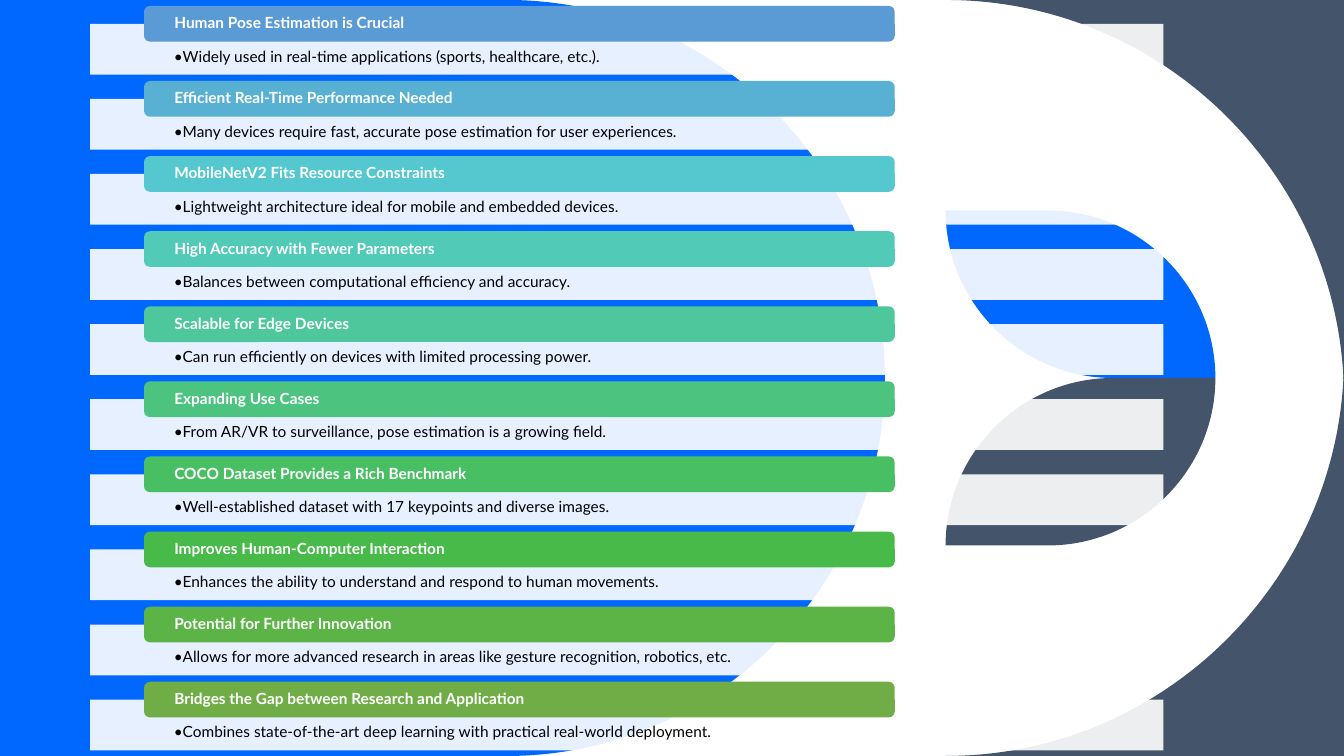
from lxml import etree
from pptx import Presentation
from pptx.dml.color import RGBColor
from pptx.enum.shapes import MSO_SHAPE
from pptx.enum.text import MSO_ANCHOR, PP_ALIGN
from pptx.oxml.ns import qn
from pptx.util import Cm, Pt

RECT, ROUNDED = MSO_SHAPE.RECTANGLE, MSO_SHAPE.ROUNDED_RECTANGLE
TOP, MIDDLE, LEFT = MSO_ANCHOR.TOP, MSO_ANCHOR.MIDDLE, PP_ALIGN.LEFT

BLUE = RGBColor(0x00, 0x68, 0xFF)
SLATE = RGBColor(0x44, 0x54, 0x6A)
WHITE = RGBColor(0xFF, 0xFF, 0xFF)
BLACK = RGBColor(0x00, 0x00, 0x00)
FONT = "Lato"

# Content: heading, detail, heading colour
REASONS = [
    ("Human Pose Estimation is Crucial",
     "Widely used in real-time applications (sports, healthcare, etc.).",
     RGBColor(0x5B, 0x9B, 0xD5)),
    ("Efficient Real-Time Performance Needed",
     "Many devices require fast, accurate pose estimation for user experiences.",
     RGBColor(0x58, 0xB1, 0xD2)),
    ("MobileNetV2 Fits Resource Constraints",
     "Lightweight architecture ideal for mobile and embedded devices.",
     RGBColor(0x55, 0xC7, 0xCE)),
    ("High Accuracy with Fewer Parameters",
     "Balances between computational efficiency and accuracy.",
     RGBColor(0x52, 0xCA, 0xB8)),
    ("Scalable for Edge Devices",
     "Can run efficiently on devices with limited processing power.",
     RGBColor(0x4F, 0xC7, 0x9C)),
    ("Expanding Use Cases",
     "From AR/VR to surveillance, pose estimation is a growing field.",
     RGBColor(0x4C, 0xC3, 0x7F)),
    ("COCO Dataset Provides a Rich Benchmark",
     "Well-established dataset with 17 keypoints and diverse images.",
     RGBColor(0x49, 0xBF, 0x64)),
    ("Improves Human-Computer Interaction",
     "Enhances the ability to understand and respond to human movements.",
     RGBColor(0x47, 0xBA, 0x49)),
    ("Potential for Further Innovation",
     "Allows for more advanced research in areas like gesture recognition, robotics, etc.",
     RGBColor(0x5C, 0xB4, 0x47)),
    ("Bridges the Gap between Research and Application",
     "Combines state-of-the-art deep learning with practical real-world deployment.",
     RGBColor(0x70, 0xAD, 0x47)),
]

# Layout in centimetres
WIDTH, HEIGHT = 33.87, 19.05
MID = HEIGHT / 2
BAR_LEFT, BAR_TOP, BAR_WIDTH, BAR_HEIGHT = 2.27, 0.6, 27.05, 1.28
HEAD_LEFT, HEAD_TOP, HEAD_WIDTH, HEAD_HEIGHT = 3.63, 0.15, 18.92, 0.9
LAST_BAR_TOP = 17.63
ROW_PITCH = (LAST_BAR_TOP - BAR_TOP) / (len(REASONS) - 1)
PANEL_RIGHT = 22.3
LEAF_LEFT, LEAF_RIGHT, LEAF_RADIUS = 23.83, 30.63, 4.22
CORNER_RADIUS = 10.03
BULLET_INDENT = 0.15
ROUNDNESS = 0.55  # control point distance of a quarter circle


def mirror(points):
    return [(x, HEIGHT - y, *bend) for x, y, *bend in points]


def paint(shape, color, opacity=100):
    shape.shadow.inherit = False
    shape.line.fill.background()
    shape.fill.solid()
    shape.fill.fore_color.rgb = color
    if opacity < 100:
        tint = shape.fill._xPr.find(qn("a:solidFill"))[0]
        etree.SubElement(tint, qn("a:alpha"), val=str(opacity * 1000))


def add_outline(page, points, color):
    """Points are (x, y), or (x, y, "h"/"v") for a quarter circle to that
    point which sets off horizontally or vertically."""
    spots = [(Cm(x), Cm(y)) for x, y, *_ in points]
    builder = page.shapes.build_freeform(*spots[0])
    builder.add_line_segments(spots[1:], close=True)
    shape = builder.convert_to_shape()
    paint(shape, color)
    segments = list(shape._element.iter(qn("a:lnTo")))
    for i, segment in enumerate(segments, start=1):
        if i >= len(points) or len(points[i]) == 2:
            continue
        (x0, y0), (x1, y1) = spots[i - 1], spots[i]
        dx, dy = (x1 - x0) * ROUNDNESS, (y1 - y0) * ROUNDNESS
        if points[i][2] == "h":
            controls = [(x0 + dx, y0), (x1, y1 - dy)]
        else:
            controls = [(x0, y0 + dy), (x1 - dx, y1)]
        segment.tag = qn("a:cubicBezTo")
        for position, (x, y) in enumerate(controls):
            segment.insert(position, etree.Element(
                qn("a:pt"), x=str(round(x - shape.left)), y=str(round(y - shape.top))))


def add_box(page, kind, left, top, width, height, color, opacity=100):
    box = page.shapes.add_shape(kind, Cm(left), Cm(top), Cm(width), Cm(height))
    paint(box, color, opacity)
    return box


def write(box, text, *, color, bold=False, anchor=MIDDLE, side=0.0, above=0.0,
          below=0.0, bullet=False):
    frame = box.text_frame
    frame.word_wrap = True
    frame.vertical_anchor = anchor
    frame.margin_left = frame.margin_right = Cm(side)
    frame.margin_top, frame.margin_bottom = Cm(above), Cm(below)
    para = frame.paragraphs[0]
    para.alignment = LEFT
    para.line_spacing = 0.9
    if bullet:
        para.level = 1
        props = para._p.get_or_add_pPr()
        props.set("marL", str(Cm(BULLET_INDENT)))
        props.set("indent", str(-Cm(BULLET_INDENT)))
        etree.SubElement(props, qn("a:buFont"), typeface=FONT)
        etree.SubElement(props, qn("a:buChar"), char="•")
    span = para.add_run()
    span.text = text
    span.font.name, span.font.size = FONT, Pt(11)
    span.font.bold, span.font.color.rgb = bold, color


def add_background(page):
    leaf_top = MID - LEAF_RADIUS
    panel = [(0, 0), (PANEL_RIGHT - MID, 0), (PANEL_RIGHT, MID, "h"),
             (PANEL_RIGHT - MID, HEIGHT, "v"), (0, HEIGHT)]
    leaf = [(LEAF_LEFT, leaf_top), (LEAF_RIGHT - LEAF_RADIUS, leaf_top),
            (LEAF_RIGHT, MID, "h"), (LEAF_LEFT + LEAF_RADIUS, MID),
            (LEAF_LEFT, leaf_top, "h")]
    corner = [(WIDTH, 0), (WIDTH - CORNER_RADIUS, 0), (WIDTH, CORNER_RADIUS, "h")]
    for points, color in [(panel, BLUE), (leaf, BLUE), (mirror(leaf), SLATE),
                          (corner, SLATE), (mirror(corner), SLATE)]:
        add_outline(page, points, color)


def add_reasons(page):
    for row, (heading, detail, color) in enumerate(REASONS):
        offset = row * ROW_PITCH
        bar = add_box(page, RECT, BAR_LEFT, BAR_TOP + offset, BAR_WIDTH,
                      BAR_HEIGHT, WHITE, opacity=90)
        write(bar, detail, color=BLACK, anchor=TOP, side=2.11, above=0.63,
              below=0.23, bullet=True)
        head = add_box(page, ROUNDED, HEAD_LEFT, HEAD_TOP + offset, HEAD_WIDTH,
                       HEAD_HEIGHT, color)
        write(head, heading, color=WHITE, bold=True, side=0.72)


def main():
    deck = Presentation()
    deck.slide_width, deck.slide_height = Cm(WIDTH), Cm(HEIGHT)
    page = deck.slides.add_slide(deck.slide_layouts[6])
    add_background(page)
    add_reasons(page)
    deck.save("out.pptx")


if __name__ == "__main__":
    main()
